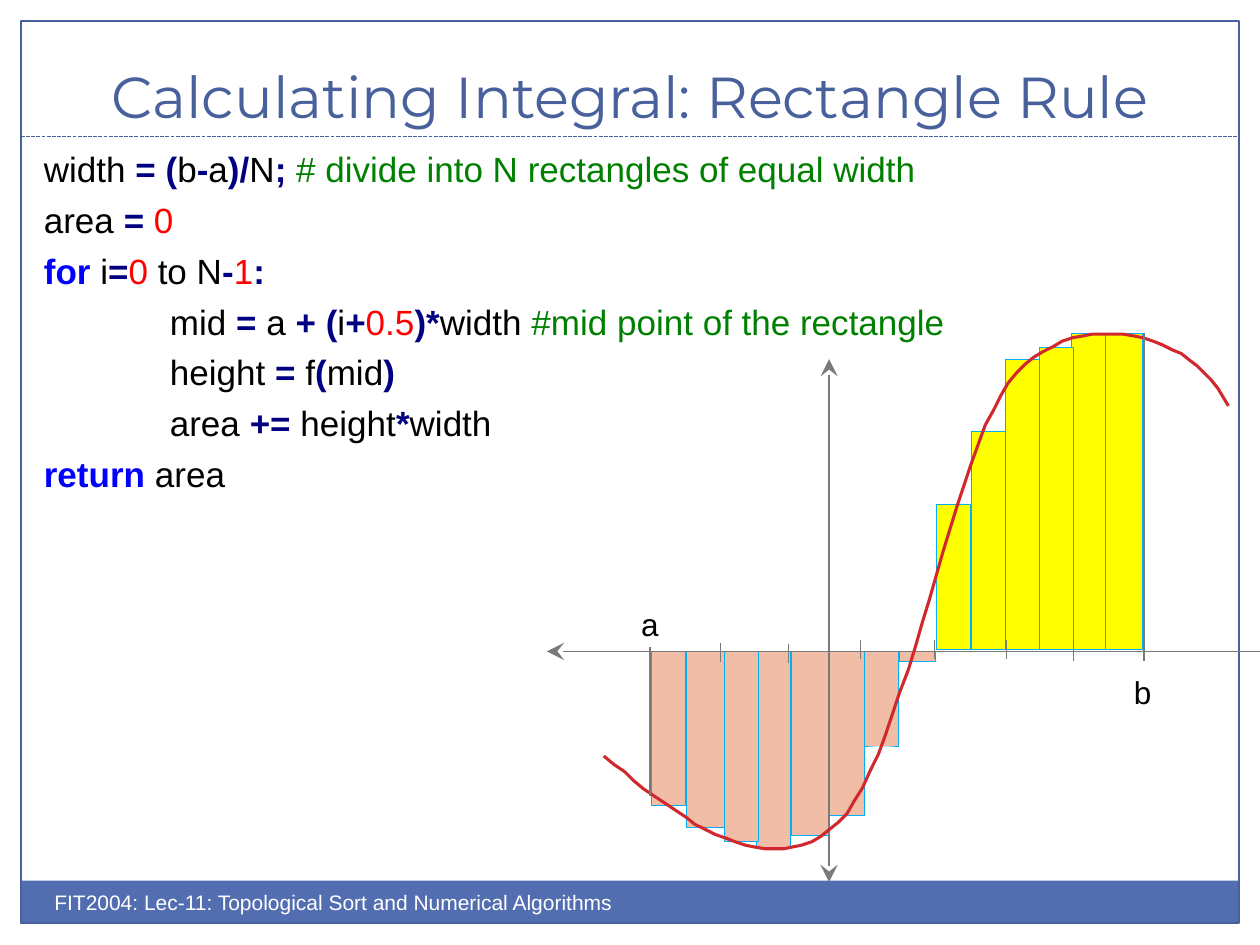
from dataclasses import dataclass
from itertools import groupby

from lxml import etree
from pptx import Presentation
from pptx import util as u
from pptx.dml.color import RGBColor
from pptx.enum import dml, shapes, text
from pptx.oxml.ns import qn


@dataclass(frozen=True)
class Theme:
    frame: str = "48609B"
    band: str = "526DB0"
    white: str = "FFFFFF"
    ink: str = "000000"
    sign: str = "000080"
    digit: str = "FF0000"
    word: str = "0000FF"
    note: str = "008000"
    above: str = "FFFF00"
    below: str = "F1BDA7"
    edge: str = "00B0F0"
    axis: str = "7A7A7A"
    curve: str = "D1282E"
    head: str = "Montserrat"
    body: str = "Arial"
    title: float = 33
    code: float = 20
    label: float = 18
    foot: float = 12


AXIS = 372.2
BARS = [
    (612, 19.4, 180.7), (594, 19.4, 172.8), (555.1, 20.9, 125),
    (514.1, 20.2, -5.8), (432, 19.4, -112.3), (473, 20.9, -93.6),
    (392.4, 21.6, -100.8), (631.4, 21.6, 180.7), (574.6, 19.4, 166),
    (535, 19.4, 82.8), (493.9, 19.4, -54), (452.2, 20.9, -105.1),
    (414, 19.4, -108.7), (372.2, 19.4, -87.8),
]
TICKS = [(371.5, 370), (411.8, 367.2), (450.7, 367.9), (491.8, 365.8),
         (534.2, 365.8), (575.3, 365.8), (613.4, 366.5), (653.8, 366.5)]
CURVE = [
    (702, 231.8), (681.1, 190.1), (618.5, 173.5), (581, 213.1),
    (544.3, 252.7), (517.7, 433.4), (478.8, 470.2),
    (439.2, 506.9), (391.7, 470.2), (344.9, 432),
]
CODE = [
    "width = (b-a)/N; # divide into N rectangles of equal width",
    "area = 0",
    "for i=0 to N-1:",
    "\tmid = a + (i+0.5)*width #mid point of the rectangle",
    "\theight = f(mid)",
    "\tarea += height*width",
    "return area",
]


def tokens(line):
    for word in ("for", "return"):
        if line.startswith(word):
            yield "word", word
            line = line[len(word):]
    code, mark, note = line.partition("#")

    def kind(char):
        if char in "=()-/;+*:":
            return "sign"
        return "digit" if char in "0123456789." else "ink"

    for role, chars in groupby(code, kind):
        yield role, "".join(chars)
    if mark:
        yield "note", mark + note


def bezier(knots, steps=24):
    points = [knots[0]]
    for i in range(0, len(knots) - 1, 3):
        for n in range(1, steps + 1):
            t = n / steps
            s = 1 - t
            rates = (s ** 3, 3 * s * s * t, 3 * s * t * t, t ** 3)
            points.append(tuple(
                sum(r * k[d] for r, k in zip(rates, knots[i:i + 4]))
                for d in (0, 1)))
    return points


class Page:
    def __init__(self, slide, theme):
        self.slide, self.theme = slide, theme

    def color(self, name):
        return RGBColor.from_string(getattr(self.theme, name))

    def stroke(self, line, color, width):
        line.color.rgb = self.color(color)
        line.width = u.Pt(width)

    def rect(self, box, fill=None, edge=None, width=0.75):
        shape = self.slide.shapes.add_shape(
            shapes.MSO_SHAPE.RECTANGLE, *map(u.Pt, box))
        shape.shadow.inherit = False
        if fill:
            shape.fill.solid()
            shape.fill.fore_color.rgb = self.color(fill)
        else:
            shape.fill.background()
        if edge:
            self.stroke(shape.line, edge, width)
        else:
            shape.line.fill.background()

    def line(self, start, end, color="axis", dash=None, arrows=False):
        link = self.slide.shapes.add_connector(
            shapes.MSO_CONNECTOR.STRAIGHT, *map(u.Pt, start + end))
        self.stroke(link.line, color, 0.75)
        if dash:
            link.line.dash_style = dash
        props = link.line._get_or_add_ln()
        if arrows:
            for tip in ("a:headEnd", "a:tailEnd"):
                etree.SubElement(props, qn(tip), type="stealth", w="lg", len="lg")
        etree.SubElement(props.getparent(), qn("a:effectLst"))

    def curve(self, points, color, width):
        form = self.slide.shapes.build_freeform(*points[0], scale=u.Pt(1))
        form.add_line_segments(points[1:], close=False)
        shape = form.convert_to_shape()
        shape.shadow.inherit = False
        shape.fill.background()
        self.stroke(shape.line, color, width)

    def frame(self, box, wrap=True):
        frame = self.slide.shapes.add_textbox(*map(u.Pt, box)).text_frame
        frame.word_wrap = wrap
        return frame

    def text(self, box, words, size, color, font="body", wrap=True,
             align=None, anchor=text.MSO_ANCHOR.TOP):
        frame = self.frame(box, wrap)
        frame.vertical_anchor = anchor
        if not wrap:
            frame.auto_size = text.MSO_AUTO_SIZE.SHAPE_TO_FIT_TEXT
        para = frame.paragraphs[0]
        para.text, para.alignment = words, align
        para.font.name = getattr(self.theme, font)
        para.font.size = u.Pt(size)
        para.font.color.rgb = self.color(color)

    def code(self, box, lines):
        frame = self.frame(box)
        frame.margin_top = u.Pt(6)
        for i, line in enumerate(lines):
            para = frame.add_paragraph() if i else frame.paragraphs[0]
            if i:
                para.space_before = u.Pt(5)
            if line.startswith("\t"):
                tabs = etree.SubElement(para._p.get_or_add_pPr(), qn("a:tabLst"))
                etree.SubElement(tabs, qn("a:tab"), pos=str(u.Pt(72)), algn="l")
            para.font.name = self.theme.body
            para.font.size = u.Pt(self.theme.code)
            for role, words in tokens(line):
                run = para.add_run()
                run.text = words
                run.font.bold = role in ("sign", "word")
                run.font.color.rgb = self.color(role)


def main():
    deck = Presentation()
    deck.slide_width, deck.slide_height = u.Pt(720), u.Pt(540)
    theme = Theme()
    page = Page(deck.slides.add_slide(deck.slide_layouts[6]), theme)

    page.rect((11.8, 503.3, 695.8, 24.5), fill="band")
    page.rect((12, 12, 696, 515.5), edge="frame")
    page.line((12, 78), (708, 78), "frame", dml.MSO_LINE.SQUARE_DOT)

    for left, width, height in BARS:
        if height > 0:
            page.rect((left, AXIS - 1 - height, width, height), "above", "edge", 0.25)
        else:
            page.rect((left, AXIS, width, -height), "below", "edge", 0.25)

    page.text((24, 18, 672, 60), "Calculating Integral: Rectangle Rule",
              theme.title, "frame", "head", align=text.PP_ALIGN.CENTER,
              anchor=text.MSO_ANCHOR.BOTTOM)
    page.text((24, 505, 360, 28.8),
              "FIT2004: Lec-11: Topological Sort and Numerical Algorithms",
              theme.foot, "white")
    page.code((18, 78.5, 537, 259), CODE)
    page.text((359.3, 342, 24.5, 28.8), "a", theme.label, "ink", wrap=False)
    page.text((640.8, 381, 24.5, 28.8), "b", theme.label, "ink", wrap=False)

    page.line((473.8, 205.2), (473.8, 504), arrows=True)
    page.line((743.8, AXIS), (312.5, AXIS), arrows=True)
    page.curve(bezier(CURVE), "curve", 1.75)
    page.line((653.8, 371.5), (653.8, 190.1))
    page.line((371.5, 371.5), (371.5, 455))
    for left, top in TICKS:
        page.line((left, top), (left, top + 11))

    deck.save("out.pptx")


if __name__ == "__main__":
    main()
